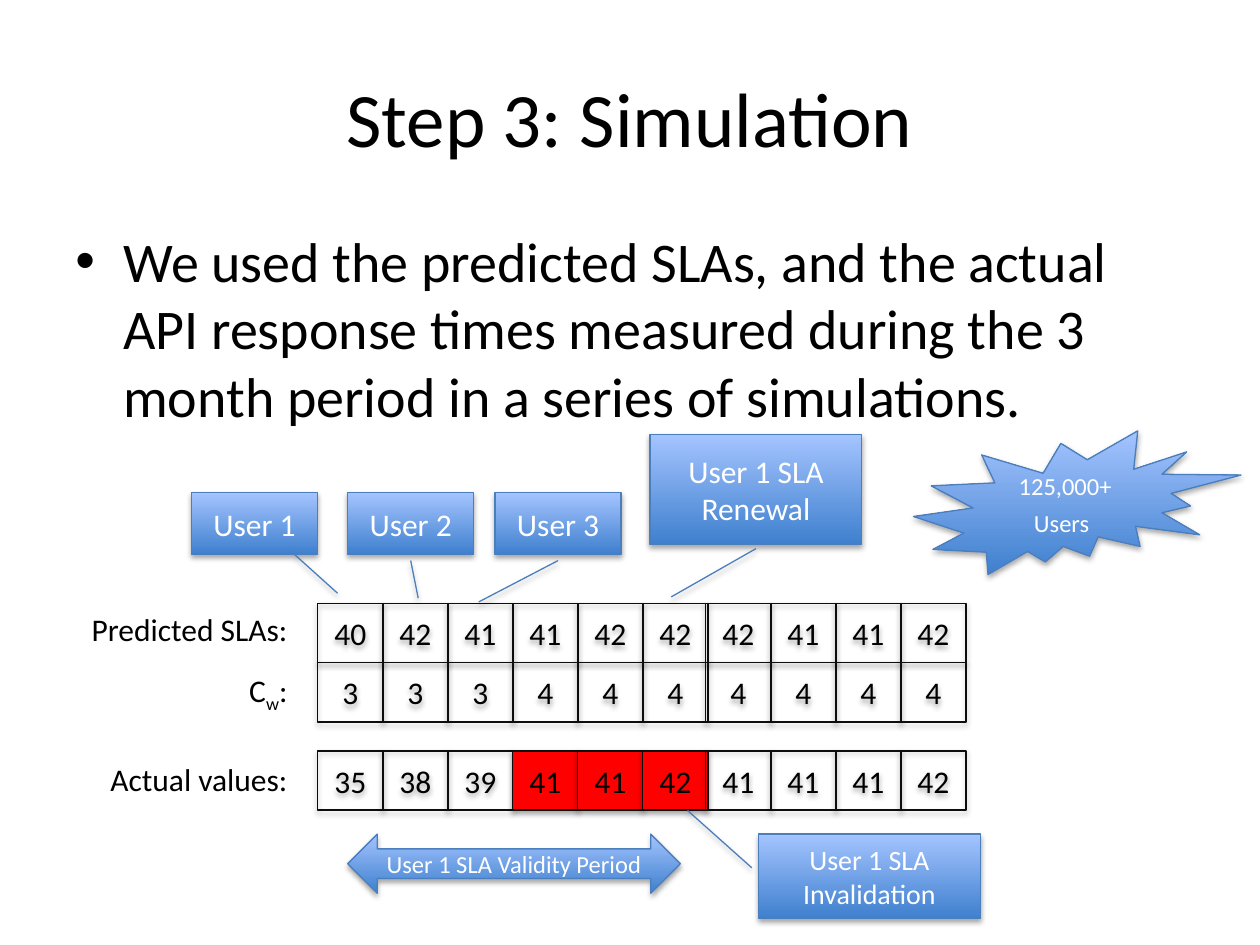
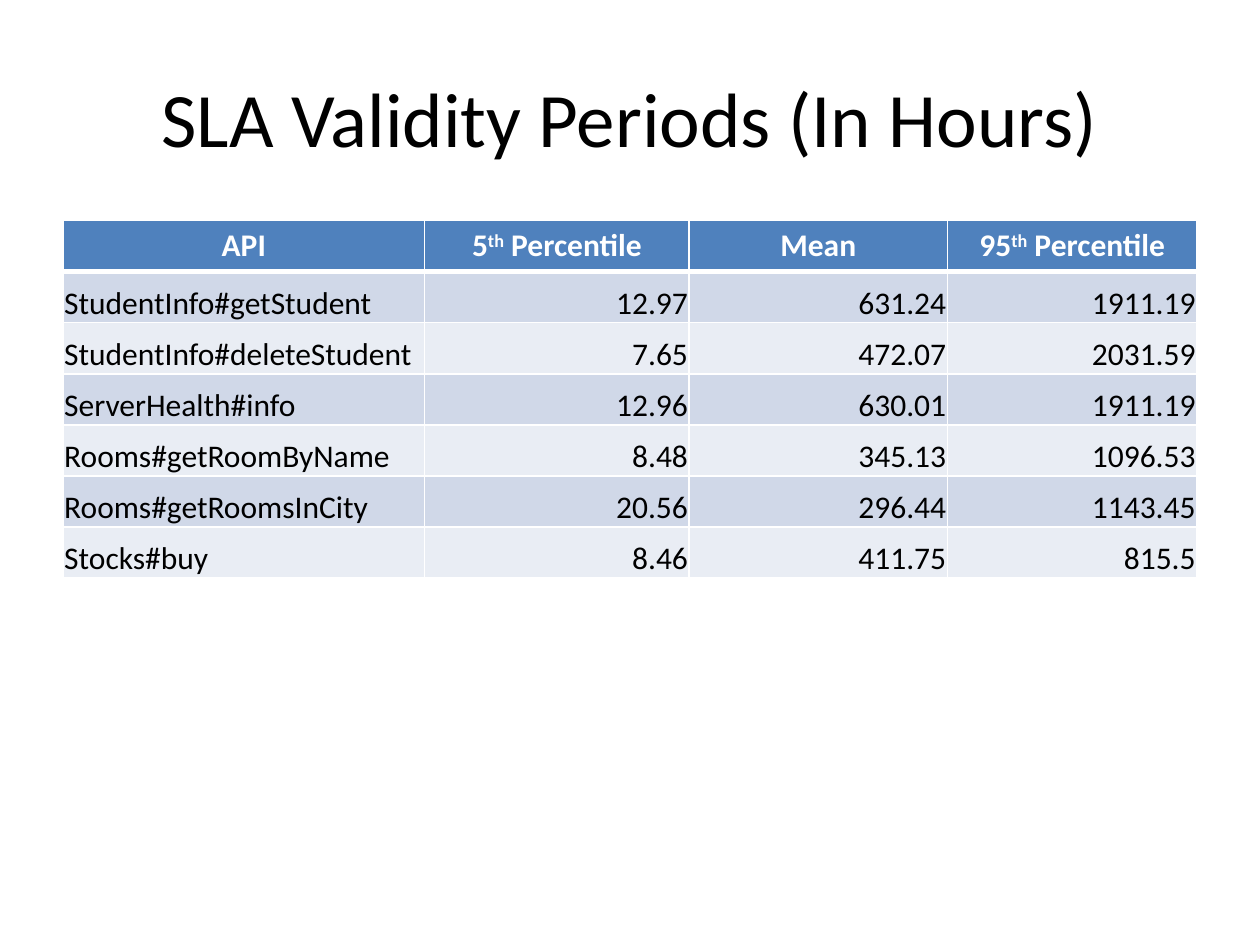
"""Build two slides on the simulation step and the SLA validity periods."""
import lxml.etree
import pptx
import pptx.dml.color
import pptx.enum.shapes
import pptx.enum.text
import pptx.oxml.ns
import pptx.util

Inches = pptx.util.Inches
Pt = pptx.util.Pt
SHAPE = pptx.enum.shapes.MSO_SHAPE
ALIGN = pptx.enum.text.PP_ALIGN
ANCHOR = pptx.enum.text.MSO_ANCHOR
qn = pptx.oxml.ns.qn

COLORS = {
    "text": "000000", "white": "FFFFFF", "cell_line": "0D0D0D", "violation": "FF0000",
    "shape_line": "4B7EBC", "grad_bottom": "3F80CE", "grad_top": "A4C4FF",
    "header": "4F81BD", "band_dark": "D0D8E8", "band_light": "E9EDF4",
}


def rgb(name):
    """Return the named colour."""
    return pptx.dml.color.RGBColor.from_string(COLORS[name])


def sub(parent, tag, **attrs):
    """Append a DrawingML child element."""
    return lxml.etree.SubElement(parent, qn(tag), attrs)


class Deck:
    """Hold the style and the current slide."""

    def __init__(self):
        """Open a 10 by 7.5 inch presentation."""
        self.prs = pptx.Presentation()
        self.prs.slide_width, self.prs.slide_height = Inches(10), Inches(7.5)
        self.s = None

    def slide(self, title):
        """Add a blank slide with its title."""
        self.s = self.prs.slides.add_slide(self.prs.slide_layouts[6])
        self.text((0.5, 0.3, 9, 1.25), title, 44, ALIGN.CENTER, ANCHOR.MIDDLE)

    def put_runs(self, tf, runs, size, color="text", align=ALIGN.LEFT, bold=False):
        """Fill the first paragraph with runs of (text, overrides)."""
        p = tf.paragraphs[0]
        p.alignment = align
        for text, over in [(runs, {})] if isinstance(runs, str) else runs:
            r = p.add_run()
            r.text = text
            fmt = {"name": "Calibri", "size": Pt(over.get("size", size)), "bold": bold}
            for key, value in fmt.items():
                setattr(r.font, key, value)
            r.font.color.rgb = rgb(color)
            if "baseline" in over:
                r._r.get_or_add_rPr().set("baseline", str(over["baseline"] * 1000))
        return p

    def text(self, box, runs, size, align=ALIGN.LEFT, anchor=ANCHOR.TOP):
        """Add a wrapping text box."""
        tf = self.s.shapes.add_textbox(*map(Inches, box)).text_frame
        tf.word_wrap, tf.vertical_anchor = True, anchor
        return self.put_runs(tf, runs, size, align=align)

    def bullet(self, box, text, size):
        """Add a text box with one bulleted paragraph."""
        pPr = self.text(box, text, size)._p.get_or_add_pPr()
        pPr.set("marL", str(Inches(0.38)))
        pPr.set("indent", str(-Inches(0.38)))
        sub(pPr, "a:buFont", typeface="Arial")
        sub(pPr, "a:buChar", char="•")

    def shape(self, kind, box, runs, size, color, line):
        """Add a preset shape with centred text and a soft shadow."""
        sp = self.s.shapes.add_shape(kind, *map(Inches, box))
        sp.line.color.rgb, sp.line.width = rgb(line), Pt(0.75)
        sp.shadow.inherit = False
        effects = sp._element.spPr.find(qn("a:effectLst"))
        shadow = sub(effects, "a:outerShdw", blurRad="40000", dist="23000",
                     dir="5400000", rotWithShape="0")
        sub(sub(shadow, "a:srgbClr", val=COLORS["text"]), "a:alpha", val="35000")
        sp.text_frame.vertical_anchor = ANCHOR.MIDDLE
        self.put_runs(sp.text_frame, runs, size, color, ALIGN.CENTER)
        return sp

    def cell(self, box, text, marked):
        """Add one value box, red when marked."""
        sp = self.shape(SHAPE.RECTANGLE, box, text, 18, "text", "cell_line")
        if marked:
            sp.fill.solid()
            sp.fill.fore_color.rgb = rgb("violation")
        else:
            sp.fill.background()

    def blue(self, kind, box, runs, size, adjust=()):
        """Add a blue gradient shape."""
        sp = self.shape(kind, box, runs, size, "white", "shape_line")
        sp.fill.gradient()
        sp.fill.gradient_angle = 90
        for stop, name in zip(sp.fill.gradient_stops, ("grad_bottom", "grad_top")):
            stop.color.rgb = rgb(name)
        for i, value in enumerate(adjust):
            sp.adjustments[i] = value

    def borders(self, cell, widths):
        """Draw white cell borders, widths keyed by side."""
        tcPr = cell._tc.get_or_add_tcPr()
        for i, side in enumerate("LRTB"):
            ln = sub(tcPr, "a:ln" + side, w=str(Pt(widths.get(side, 1))))
            sub(sub(ln, "a:solidFill"), "a:srgbClr", val=COLORS["white"])
            tcPr.insert(i, ln)

    def table(self, box, widths, rows):
        """Add a banded table whose first row is the header."""
        tb = self.s.shapes.add_table(len(rows), len(widths), *map(Inches, box)).table
        for col, width in zip(tb.columns, widths):
            col.width = Inches(width)
        for i, row in enumerate(rows):
            for j, runs in enumerate(row):
                c = tb.cell(i, j)
                fill = "header" if i == 0 else ("band_light", "band_dark")[i % 2]
                c.fill.solid()
                c.fill.fore_color.rgb = rgb(fill)
                self.borders(c, {0: {"B": 3}, 1: {"T": 3}}.get(i, {}))
                if i == 0:
                    self.put_runs(c.text_frame, runs, 18, "white", ALIGN.CENTER, True)
                    continue
                fmt = {"vertical_anchor": ANCHOR.BOTTOM, "margin_left": Inches(0.01),
                       "margin_right": Inches(0.01), "margin_top": Inches(0.01),
                       "margin_bottom": 0}
                for key, value in fmt.items():
                    setattr(c, key, value)
                self.put_runs(c.text_frame, runs, 18, align=ALIGN.RIGHT if j else ALIGN.LEFT)


def simulation(d):
    """Build the simulation slide."""
    d.slide("Step 3: Simulation")
    d.bullet((0.5, 1.75, 9, 1.73),
             "We used the predicted SLAs, and the actual API response times measured "
             "during the 3 month period in a series of simulations.", 32)
    series = [
        (4.79, 4.79, "Predicted SLAs:", (40, 42, 41, 41, 42, 42, 42, 41, 41, 42), ()),
        (5.26, 5.28, [("C", {}), ("w", {"baseline": -25}), (":", {})],
         (3, 3, 3, 4, 4, 4, 4, 4, 4, 4), ()),
        (5.96, 5.98, "Actual values:", (35, 38, 39, 41, 41, 42, 41, 41, 41, 42), (3, 4, 5)),
    ]
    step = (5.1 - 2.52) / 5
    lefts = [2.52 + i * step for i in range(6)] + [5.6 + i * step for i in range(4)]
    for top, label_top, label, values, violations in series:
        d.text((0.36, label_top, 2.02, 0.4), label, 18, ALIGN.RIGHT)
        for i, (left, value) in enumerate(zip(lefts, values)):
            d.cell((left, top, 0.52, 0.47), str(value), i in violations)
    callouts = [
        ((1.52, 3.91, 1, 0.49), "User 1", 18, (0.95, 0.79, 1.63, 1.16)),
        ((2.76, 3.91, 1, 0.49), "User 2", 18, (1.1, 0.5, 1.71, 0.56)),
        ((3.93, 3.91, 1, 0.49), "User 3", 18, (1.1, 0.5, 1.77, -0.13)),
        ((6.02, 6.62, 1.76, 0.67), "User 1 SLA Invalidation", 16, (0.4, -0.03, -0.28, -0.32)),
        ((5.16, 3.45, 1.68, 0.87), "User 1 SLA Renewal", 18, (1.04, 0.5, 1.48, 0.1)),
    ]
    for box, text, size, pointer in callouts:
        d.blue(SHAPE.LINE_CALLOUT_1, box, text, size, pointer)
    d.blue(SHAPE.EXPLOSION2, (7.25, 3.42, 2.6, 1.14),
           [("125,000+ Users", {}), (" ", {"size": 18})], 14)
    d.blue(SHAPE.LEFT_RIGHT_ARROW, (2.76, 6.62, 2.64, 0.47), "User 1 SLA Validity Period", 14)


def validity(d):
    """Build the validity period slide."""
    d.slide("SLA Validity Periods (In Hours)")
    low, high = ([(n, {}), ("th", {"baseline": 30}), (" Percentile", {})] for n in ("5", "95"))
    d.table((0.5, 1.75, 9, 2.84), (2.87, 2.1, 2.05, 1.98), [
        ("API", low, "Mean", high),
        ("StudentInfo#getStudent", "12.97", "631.24", "1911.19"),
        ("StudentInfo#deleteStudent", "7.65", "472.07", "2031.59"),
        ("ServerHealth#info", "12.96", "630.01", "1911.19"),
        ("Rooms#getRoomByName", "8.48", "345.13", "1096.53"),
        ("Rooms#getRoomsInCity", "20.56", "296.44", "1143.45"),
        ("Stocks#buy", "8.46", "411.75", "815.5"),
    ])


def main():
    """Build and save the slides."""
    d = Deck()
    simulation(d)
    validity(d)
    d.prs.save("out.pptx")


if __name__ == "__main__":
    main()
